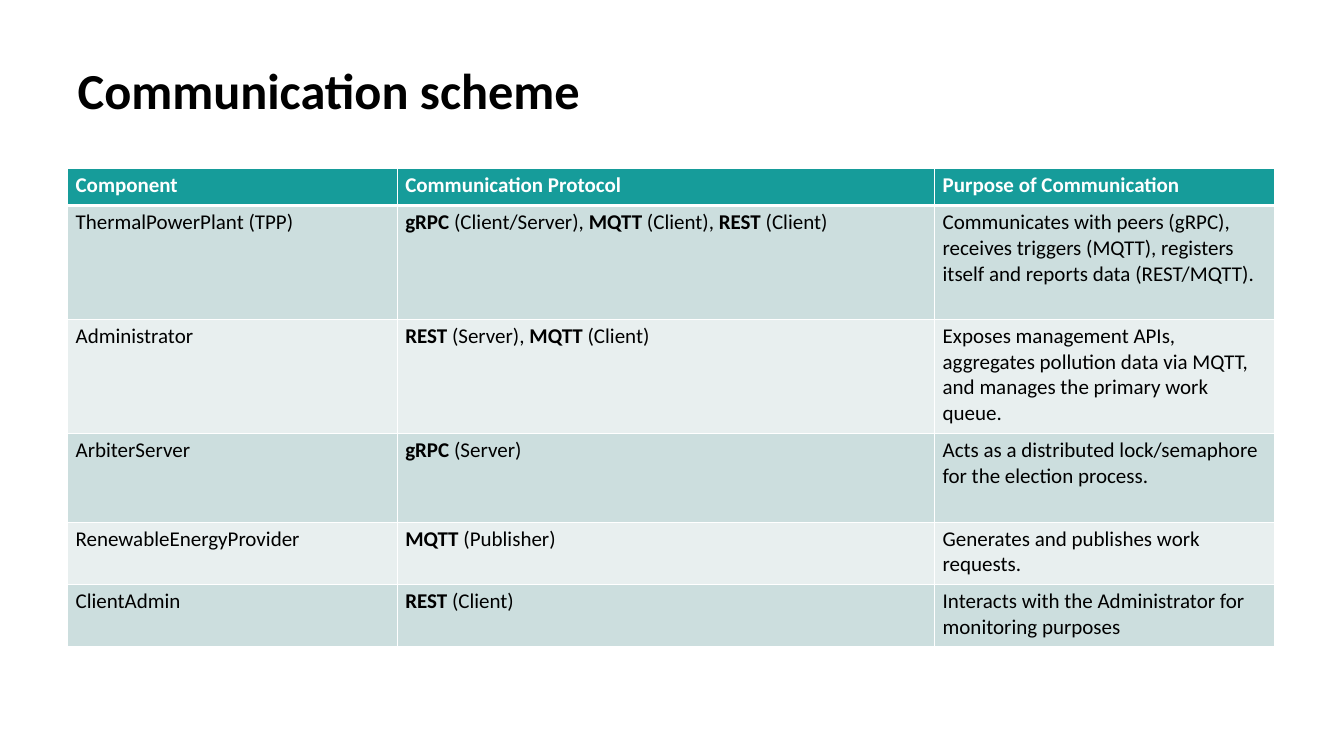
from dataclasses import dataclass

from lxml import etree
from pptx import Presentation
from pptx import util as u
from pptx.dml import color
from pptx.enum import text
from pptx.oxml import ns

FONT = "Calibri"
WHITE, BLACK, TEAL = "FFFFFF", "000000", "169C9A"
BANDS = ("CCDEDE", "E8EFEF")
HEADINGS = ("Component", "Communication Protocol", "Purpose of Communication")
COLUMN_WIDTHS = (3.27, 5.33, 3.37)
HEADER_HEIGHT = 0.37
LEFT, WIDTH = 0.67, 11.97


@dataclass(frozen=True)
class Protocol:
    name: str
    role: str


@dataclass(frozen=True)
class Component:
    name: str
    protocols: tuple[Protocol, ...]
    purpose: str
    height: float


@dataclass(frozen=True)
class Run:
    words: str
    bold: bool = False


COMPONENTS = (
    Component(
        "ThermalPowerPlant (TPP)",
        (Protocol("gRPC", "Client/Server"), Protocol("MQTT", "Client"), Protocol("REST", "Client")),
        "Communicates with peers (gRPC), receives triggers (MQTT), "
        "registers itself and reports data (REST/MQTT).",
        1.13,
    ),
    Component(
        "Administrator",
        (Protocol("REST", "Server"), Protocol("MQTT", "Client")),
        "Exposes management APIs, aggregates pollution data via MQTT, "
        "and manages the primary work queue.",
        1.13,
    ),
    Component(
        "ArbiterServer",
        (Protocol("gRPC", "Server"),),
        "Acts as a distributed lock/semaphore for the election process.",
        0.88,
    ),
    Component(
        "RenewableEnergyProvider",
        (Protocol("MQTT", "Publisher"),),
        "Generates and publishes work requests.",
        0.62,
    ),
    Component(
        "ClientAdmin",
        (Protocol("REST", "Client"),),
        "Interacts with the Administrator for monitoring purposes",
        0.62,
    ),
)


def rgb(value: str) -> color.RGBColor:
    return color.RGBColor.from_string(value)


def apply_format(target, values: dict) -> None:
    for name, value in values.items():
        setattr(target, name, value)


def add_run(paragraph, run: Run, size: float, colour: str) -> None:
    text_run = paragraph.add_run()
    text_run.text = run.words
    apply_format(text_run.font, {"name": FONT, "size": u.Pt(size), "bold": run.bold})
    text_run.font.color.rgb = rgb(colour)


def protocol_runs(protocols: tuple[Protocol, ...]) -> list[Run]:
    runs = []
    for protocol in protocols:
        ending = "" if protocol is protocols[-1] else ", "
        runs += [Run(protocol.name, True), Run(f" ({protocol.role}){ending}")]
    return runs


def add_borders(cell, widths: dict[str, float]) -> None:
    properties = cell._tc.get_or_add_tcPr()
    for side, width in widths.items():
        line = etree.SubElement(properties, ns.qn(f"a:ln{side}"), w=str(u.Pt(width)))
        fill = etree.SubElement(line, ns.qn("a:solidFill"))
        etree.SubElement(fill, ns.qn("a:srgbClr"), val=WHITE)


def fill_row(table, index: int, height: float, contents: list[list[Run]]) -> None:
    is_header = index == 0
    table.rows[index].height = u.Inches(height)
    for cell, runs in zip(table.rows[index].cells, contents):
        add_borders(cell, {"L": 1, "R": 1, "T": 3 if index == 1 else 1, "B": 3 if is_header else 1})
        cell.fill.solid()
        cell.fill.fore_color.rgb = rgb(TEAL if is_header else BANDS[(index - 1) % 2])
        apply_format(cell, {
            "margin_left": u.Inches(0.08),
            "margin_right": u.Inches(0.08),
            "margin_top": u.Inches(0.04),
            "margin_bottom": u.Inches(0.04),
            "vertical_anchor": text.MSO_ANCHOR.TOP,
        })
        for run in runs:
            add_run(cell.text_frame.paragraphs[0], run, 15, WHITE if is_header else BLACK)


def add_title(slide) -> None:
    title = slide.shapes.title
    apply_format(title, {
        "left": u.Inches(LEFT),
        "top": u.Inches(0.6),
        "width": u.Inches(WIDTH),
        "height": u.Inches(1.24),
    })
    apply_format(title.text_frame, {
        "vertical_anchor": text.MSO_ANCHOR.TOP,
        "word_wrap": True,
        "auto_size": text.MSO_AUTO_SIZE.NONE,
    })
    paragraph = title.text_frame.paragraphs[0]
    apply_format(paragraph, {"alignment": text.PP_ALIGN.LEFT, "line_spacing": 0.9})
    add_run(paragraph, Run("Communication scheme", True), 36, BLACK)


def add_component_table(slide) -> None:
    height = HEADER_HEIGHT + sum(component.height for component in COMPONENTS)
    table = slide.shapes.add_table(
        len(COMPONENTS) + 1, len(HEADINGS),
        u.Inches(LEFT), u.Inches(1.67), u.Inches(WIDTH), u.Inches(height),
    ).table
    for column, width in zip(table.columns, COLUMN_WIDTHS):
        column.width = u.Inches(width)
    fill_row(table, 0, HEADER_HEIGHT, [[Run(heading, True)] for heading in HEADINGS])
    for index, component in enumerate(COMPONENTS, start=1):
        fill_row(table, index, component.height, [
            [Run(component.name)],
            protocol_runs(component.protocols),
            [Run(component.purpose)],
        ])


def main() -> None:
    presentation = Presentation()
    presentation.slide_width = u.Inches(13.33)
    presentation.slide_height = u.Inches(7.5)
    slide = presentation.slides.add_slide(presentation.slide_layouts.get_by_name("Title Only"))
    add_title(slide)
    add_component_table(slide)
    presentation.save("out.pptx")


if __name__ == "__main__":
    main()
